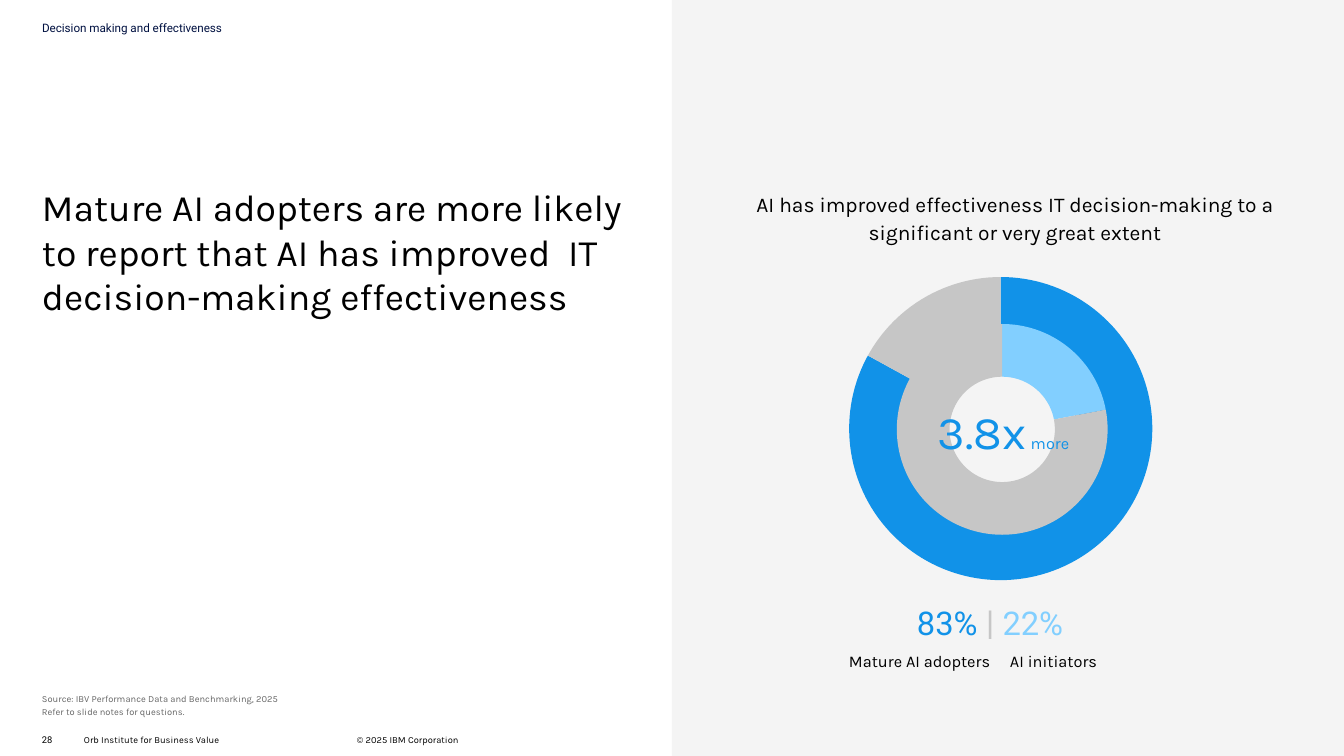
from dataclasses import dataclass

from lxml import etree
from pptx import Presentation
from pptx.chart.data import CategoryChartData
from pptx.dml.color import RGBColor
from pptx.enum.chart import XL_CHART_TYPE
from pptx.enum.shapes import MSO_SHAPE
from pptx.enum.text import MSO_ANCHOR, PP_ALIGN
from pptx.oxml.ns import qn
from pptx.util import Emu, Pt

PX_PER_INCH = 84

BLACK = RGBColor(0x00, 0x00, 0x00)
NAVY = RGBColor(0x00, 0x11, 0x41)
SOURCE_GRAY = RGBColor(0x66, 0x66, 0x66)
PANEL_GRAY = RGBColor(0xF4, 0xF4, 0xF4)
REST_GRAY = RGBColor(0xC6, 0xC6, 0xC6)
BLUE = RGBColor(0x11, 0x92, 0xE8)
LIGHT_BLUE = RGBColor(0x82, 0xCF, 0xFF)

KARLA = "Karla"
ROBOTO = "Roboto"


@dataclass(frozen=True)
class Box:
    x: int
    y: int
    w: int
    h: int

    def emu(self) -> list[Emu]:
        return [Emu(round(v * 914400 / PX_PER_INCH))
                for v in (self.x, self.y, self.w, self.h)]


@dataclass(frozen=True)
class Run:
    text: str
    size: int
    font: str = KARLA
    color: RGBColor = BLACK


@dataclass(frozen=True)
class Label:
    box: Box
    paragraphs: list[list[Run]]
    anchor: MSO_ANCHOR = MSO_ANCHOR.TOP
    align: PP_ALIGN = PP_ALIGN.LEFT
    line_spacing: float = 1.0


@dataclass(frozen=True)
class Ring:
    box: Box
    percent: int
    color: RGBColor
    hole: int


PANEL = Box(672, 0, 672, 756)

FOOTER = [
    Label(Box(84, 730, 210, 20),
          [[Run("Orb Institute for Business Value", 8)]], MSO_ANCHOR.MIDDLE),
    Label(Box(357, 730, 210, 20),
          [[Run("© 2025 IBM Corporation", 8)]], MSO_ANCHOR.MIDDLE),
    Label(Box(42, 733, 42, 23), [[Run("28", 8, ROBOTO)]], line_spacing=1.1),
]

RINGS = [
    Ring(Box(735, 277, 501, 325), 83, BLUE, 90),
    Ring(Box(824, 324, 336, 226), 22, LIGHT_BLUE, 85),
]

LABELS = [
    Label(Box(42, 21, 609, 21),
          [[Run("Decision making and effectiveness", 10, ROBOTO, NAVY)]]),
    Label(Box(42, 184, 605, 140),
          [[Run("Mature AI adopters are more likely to report that AI has "
                "improved  IT decision-making effectiveness", 32)]]),
    Label(Box(42, 675, 613, 42),
          [[Run("Source: IBV Performance Data and Benchmarking, 2025", 8,
                color=SOURCE_GRAY)],
           [Run("Refer to slide notes for questions.", 8, color=SOURCE_GRAY)]],
          MSO_ANCHOR.BOTTOM, line_spacing=1.1),
    Label(Box(735, 189, 560, 60),
          [[Run("AI has improved effectiveness IT decision-making to a "
                "significant or very great extent", 18)]],
          align=PP_ALIGN.CENTER, line_spacing=1.1),
    Label(Box(938, 403, 143, 57),
          [[Run("3.8x", 40, color=BLUE), Run(" ", 16, color=BLUE),
            Run("more", 14, color=BLUE)]]),
    Label(Box(917, 599, 172, 46),
          [[Run("83% ", 28, ROBOTO, BLUE), Run("| ", 28, KARLA, REST_GRAY),
            Run("22%", 28, ROBOTO, LIGHT_BLUE)]], line_spacing=1.1),
    Label(Box(849, 651, 155, 20), [[Run("Mature AI adopters", 14)]]),
    Label(Box(1010, 651, 155, 20), [[Run("AI initiators", 14)]]),
]


def add_panel(slide, box: Box) -> None:
    sp = slide.shapes.add_shape(MSO_SHAPE.RECTANGLE, *box.emu())
    sp.shadow.inherit = False
    sp.fill.solid()
    sp.fill.fore_color.rgb = PANEL_GRAY
    sp.line.fill.background()


def add_label(slide, label: Label) -> None:
    tf = slide.shapes.add_textbox(*label.box.emu()).text_frame
    tf.word_wrap = True
    tf.vertical_anchor = label.anchor
    tf.margin_left = tf.margin_right = tf.margin_top = tf.margin_bottom = 0
    for i, runs in enumerate(label.paragraphs):
        p = tf.add_paragraph() if i else tf.paragraphs[0]
        p.alignment = label.align
        p.line_spacing = label.line_spacing
        for run in runs:
            r = p.add_run()
            r.text = run.text
            r.font.size = Pt(run.size)
            r.font.name = run.font
            r.font.color.rgb = run.color


def set_plot_area(chart) -> None:
    """Pin the inner plot area to fixed fractions of the chart frame."""
    plot_area = chart._chartSpace.chart.plotArea
    for old in plot_area.findall(qn("c:layout")):
        plot_area.remove(old)
    layout = etree.Element(qn("c:layout"))
    manual = etree.SubElement(layout, qn("c:manualLayout"))
    settings = {"layoutTarget": "inner", "xMode": "edge", "yMode": "edge",
                "x": "0.194", "y": "0", "w": "0.673", "h": "0.933"}
    for tag, val in settings.items():
        etree.SubElement(manual, qn(f"c:{tag}")).set("val", val)
    plot_area.insert(0, layout)


def add_ring(slide, ring: Ring) -> None:
    data = CategoryChartData()
    data.categories = ["1", "2"]
    data.add_series("Series 1", (ring.percent, 100 - ring.percent))
    chart = slide.shapes.add_chart(
        XL_CHART_TYPE.DOUGHNUT, *ring.box.emu(), data).chart
    chart.has_legend = False
    chart.has_title = False
    chart.font.name = KARLA
    chart.font.size = Pt(18)
    chart.font.color.rgb = BLACK
    plot = chart.plots[0]
    plot.vary_by_categories = True
    plot.has_data_labels = False
    for i, color in enumerate((ring.color, REST_GRAY)):
        fmt = plot.series[0].points[i].format
        fmt.fill.solid()
        fmt.fill.fore_color.rgb = color
        fmt.line.fill.background()
    hole = chart._chartSpace.find(f".//{qn('c:holeSize')}")
    hole.set("val", str(ring.hole))
    set_plot_area(chart)


def main() -> None:
    prs = Presentation()
    prs.slide_width, prs.slide_height = Box(0, 0, 1344, 756).emu()[2:]
    s = prs.slides.add_slide(prs.slide_layouts[6])

    # Footer and right-hand panel
    for label in FOOTER:
        add_label(s, label)
    add_panel(s, PANEL)

    # Nested rings, outer one first
    for ring in RINGS:
        add_ring(s, ring)

    # Title, headings, figures and source
    for label in LABELS:
        add_label(s, label)

    prs.save("out.pptx")


if __name__ == "__main__":
    main()
